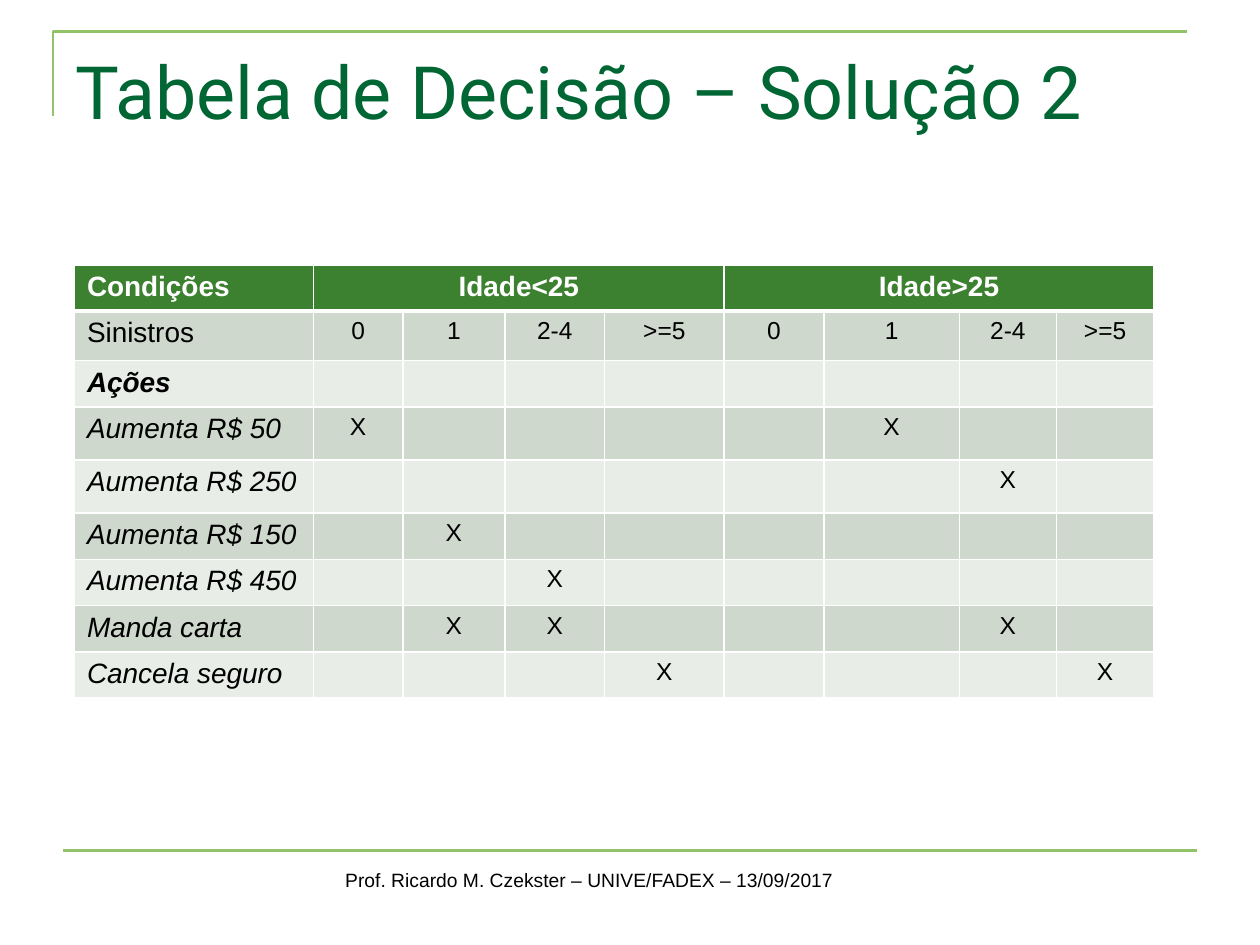
from lxml.etree import SubElement
from pptx import Presentation
from pptx.dml.color import RGBColor
from pptx.enum.text import MSO_ANCHOR, MSO_AUTO_SIZE, PP_ALIGN as Align
from pptx.oxml.ns import qn
from pptx.util import Cm, Pt

# Content
TITLE = "Tabela de Decisão – Solução 2"
FOOTER = "Prof. Ricardo M. Czekster – UNIVE/FADEX – 13/09/2017"
GROUPS = ["Idade<25", "Idade>25"]
CLAIMS = ["0", "1", "2-4", ">=5"]
ACTIONS = [  # label, marked columns
    ("Aumenta R$ 50", (1, 6)),
    ("Aumenta R$ 250", (7,)),
    ("Aumenta R$ 150", (2,)),
    ("Aumenta R$ 450", (3,)),
    ("Manda carta", (2, 3, 7)),
    ("Cancela seguro", (4, 8)),
]
COLUMN_WIDTHS = [4.82, 1.8, 2.06, 2.01, 2.41, 2.01, 2.73, 1.96, 1.96]
ROW_HEIGHTS = [0.91, 1, 0.87, 1.07, 1.07, 0.87, 0.87, 0.87, 0.87]
COLORS = {"title": "006633", "rule": "92C368", "header": "3B812F", "odd": "CED8CD",
          "even": "E8EDE8", "white": "FFFFFF", "black": "000000"}


def write(frame, text, size, color="black", font="Arial", bold=False, italic=False,
          align=Align.LEFT):
    paragraph = frame.paragraphs[0]
    paragraph.alignment = align
    if not text:  # an empty cell still needs a text size
        paragraph._p.get_or_add_endParaRPr().set("sz", str(size * 100))
        return
    run = paragraph.add_run()
    run.text = text
    run.font.name, run.font.size = font, Pt(size)
    run.font.bold, run.font.italic = bold, italic
    run.font.color.rgb = RGBColor.from_string(COLORS[color])


def style_line(shape):
    shape.line.color.rgb = RGBColor.from_string(COLORS["rule"])
    shape.line.width = Pt(1.5)


def style_cell(cell, fill, top=1, bottom=1):
    properties = cell._tc.get_or_add_tcPr()
    for side, width in (("L", 1), ("R", 1), ("T", top), ("B", bottom)):
        border = SubElement(properties, qn(f"a:ln{side}"), w=str(Pt(width)))
        solid = SubElement(border, qn("a:solidFill"))
        SubElement(solid, qn("a:srgbClr"), val=COLORS["white"])
    cell.fill.solid()
    cell.fill.fore_color.rgb = RGBColor.from_string(COLORS[fill])


presentation = Presentation()
presentation.slide_width, presentation.slide_height = Cm(25.4), Cm(19.05)
slide = presentation.slides.add_slide(presentation.slide_layouts[5])
shapes = slide.shapes

# Corner rule at the top
builder = shapes.build_freeform(Cm(1.07), Cm(2.34))
builder.add_line_segments([(Cm(1.07), Cm(0.64)), (Cm(23.93), Cm(0.64))], close=False)
corner = builder.convert_to_shape()
corner.fill.background()
corner.shadow.inherit = False
style_line(corner)

# Footer rule and text
rule = shapes.add_connector(1, Cm(1.27), Cm(17.15), Cm(24.13), Cm(17.15))
SubElement(rule._element.spPr, qn("a:effectLst"))
style_line(rule)
footer = shapes.add_textbox(Cm(6.71), Cm(17.37), Cm(10.49), Cm(0.74)).text_frame
footer.word_wrap = False
write(footer, FOOTER, 11)

# Title
title = shapes.title
title.left, title.top, title.width, title.height = Cm(1.27), Cm(0.79), Cm(22.73), Cm(3.18)
title.text_frame.vertical_anchor = MSO_ANCHOR.TOP
title.text_frame.auto_size = MSO_AUTO_SIZE.NONE
write(title.text_frame, TITLE, 42, color="title", font="Roboto")

# Decision table
header = ["Condições"] + [text for group in GROUPS for text in [group, "", "", ""]]
rows = [header, ["Sinistros"] + CLAIMS * len(GROUPS), ["Ações"] + [""] * 8]
rows += [[label] + ["X" if column in marks else "" for column in range(1, 9)]
         for label, marks in ACTIONS]
table = shapes.add_table(len(rows), len(header), Cm(1.5), Cm(5.34),
                         Cm(sum(COLUMN_WIDTHS)), Cm(sum(ROW_HEIGHTS))).table
for column, width in zip(table.columns, COLUMN_WIDTHS):
    column.width = Cm(width)
for row, height in zip(table.rows, ROW_HEIGHTS):
    row.height = Cm(height)

for r, texts in enumerate(rows):
    fill = "header" if r == 0 else "odd" if r % 2 else "even"
    for c, text in enumerate(texts):
        cell = table.cell(r, c)
        style_cell(cell, fill, top=3 if r == 1 else 1, bottom=3 if r == 0 else 1)
        write(cell.text_frame, text, 16 if r == 0 or c == 0 else 14,
              color="white" if r == 0 else "black",
              bold=r == 0 or (r == 2 and c == 0), italic=r > 1 and c == 0,
              align=Align.CENTER if c else Align.LEFT)
for first in range(1, len(header), len(CLAIMS)):
    table.cell(0, first).merge(table.cell(0, first + len(CLAIMS) - 1))

presentation.save("out.pptx")
